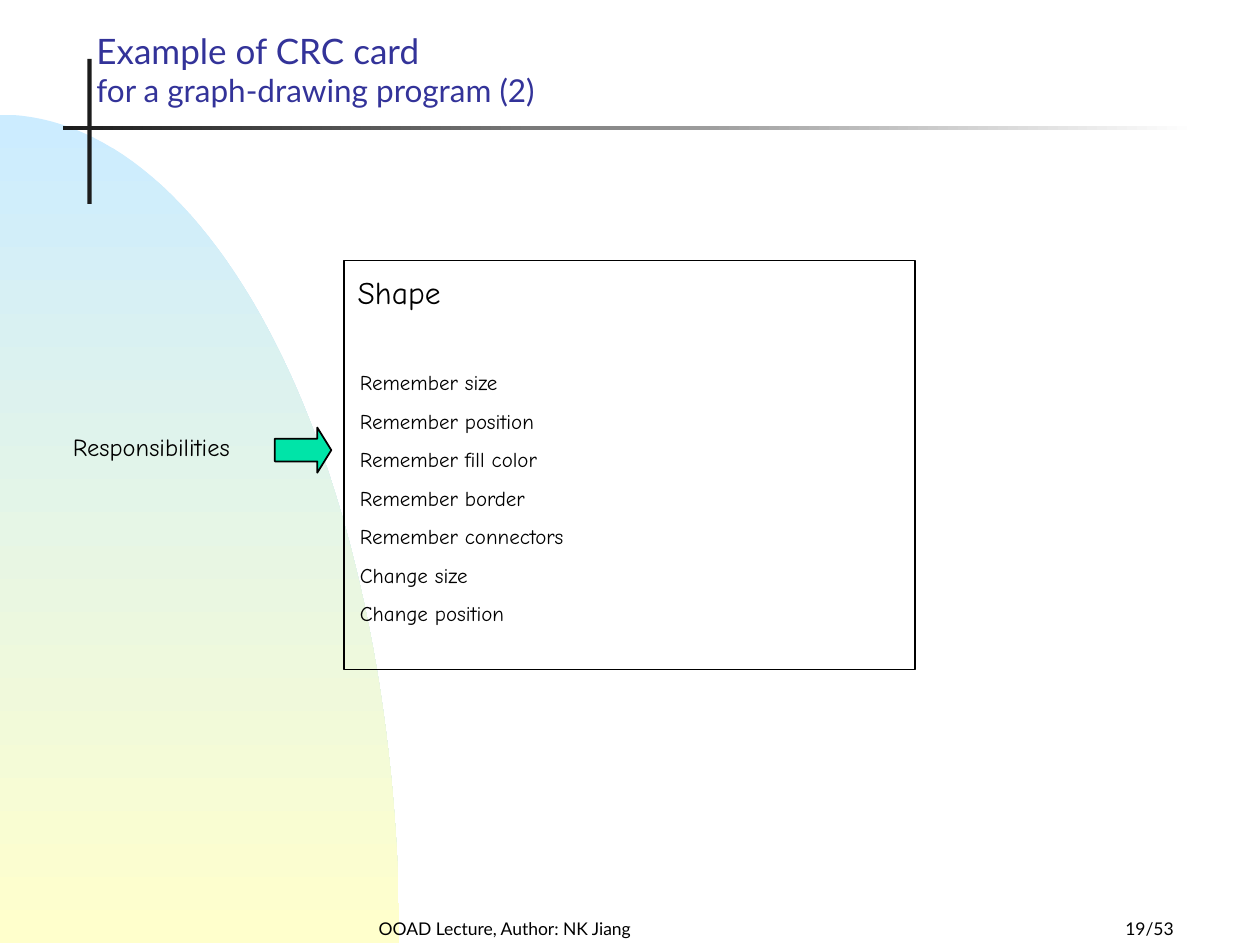
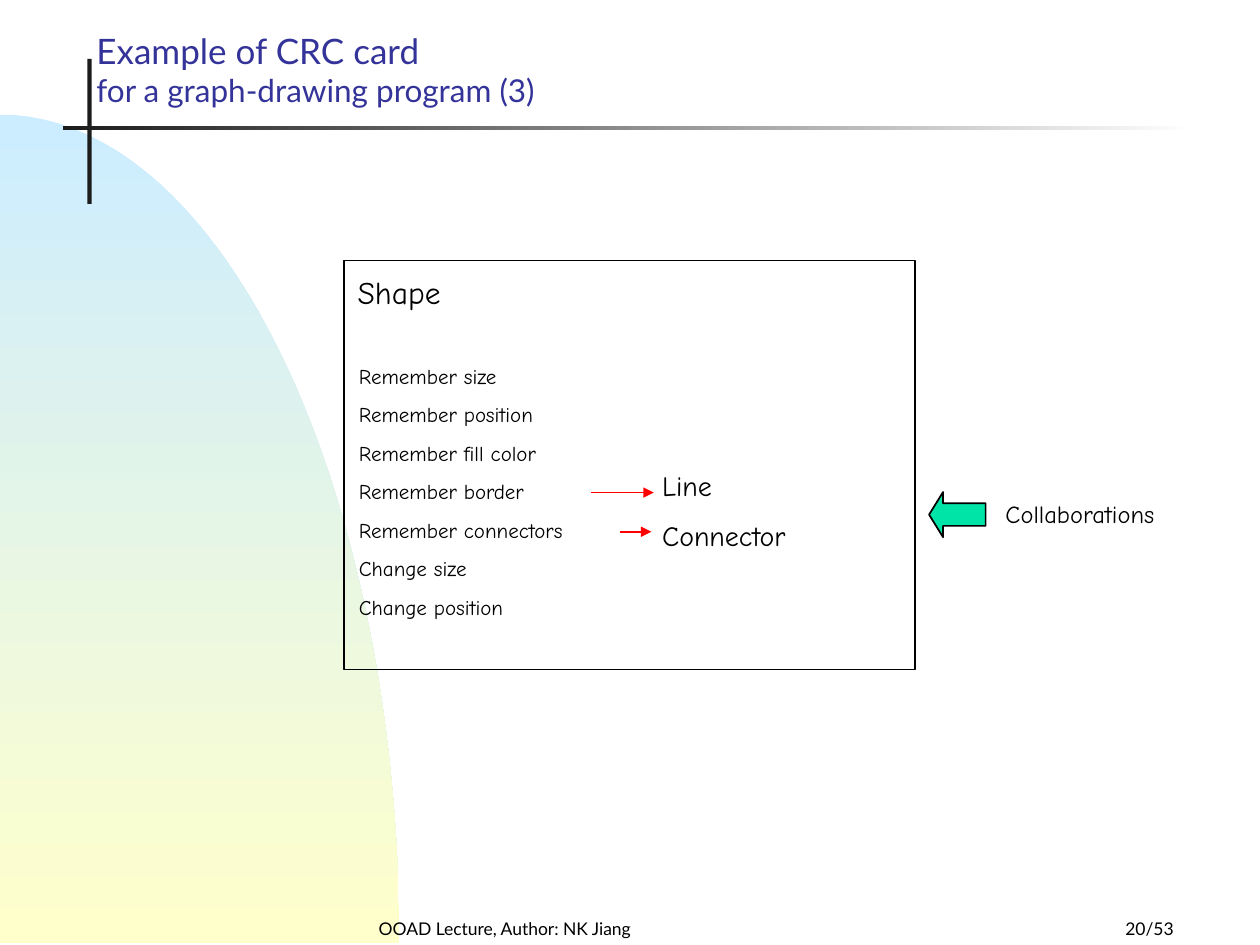
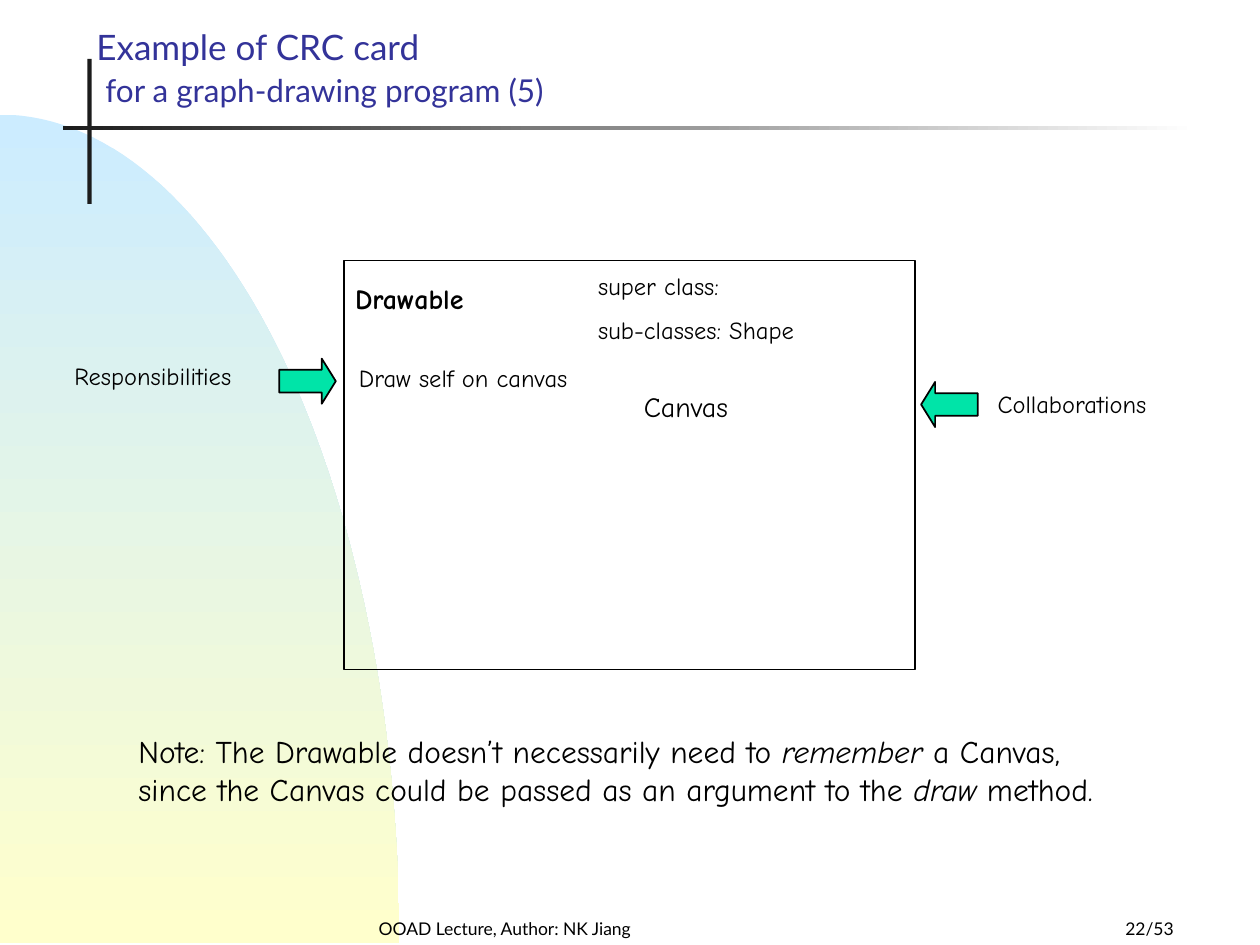
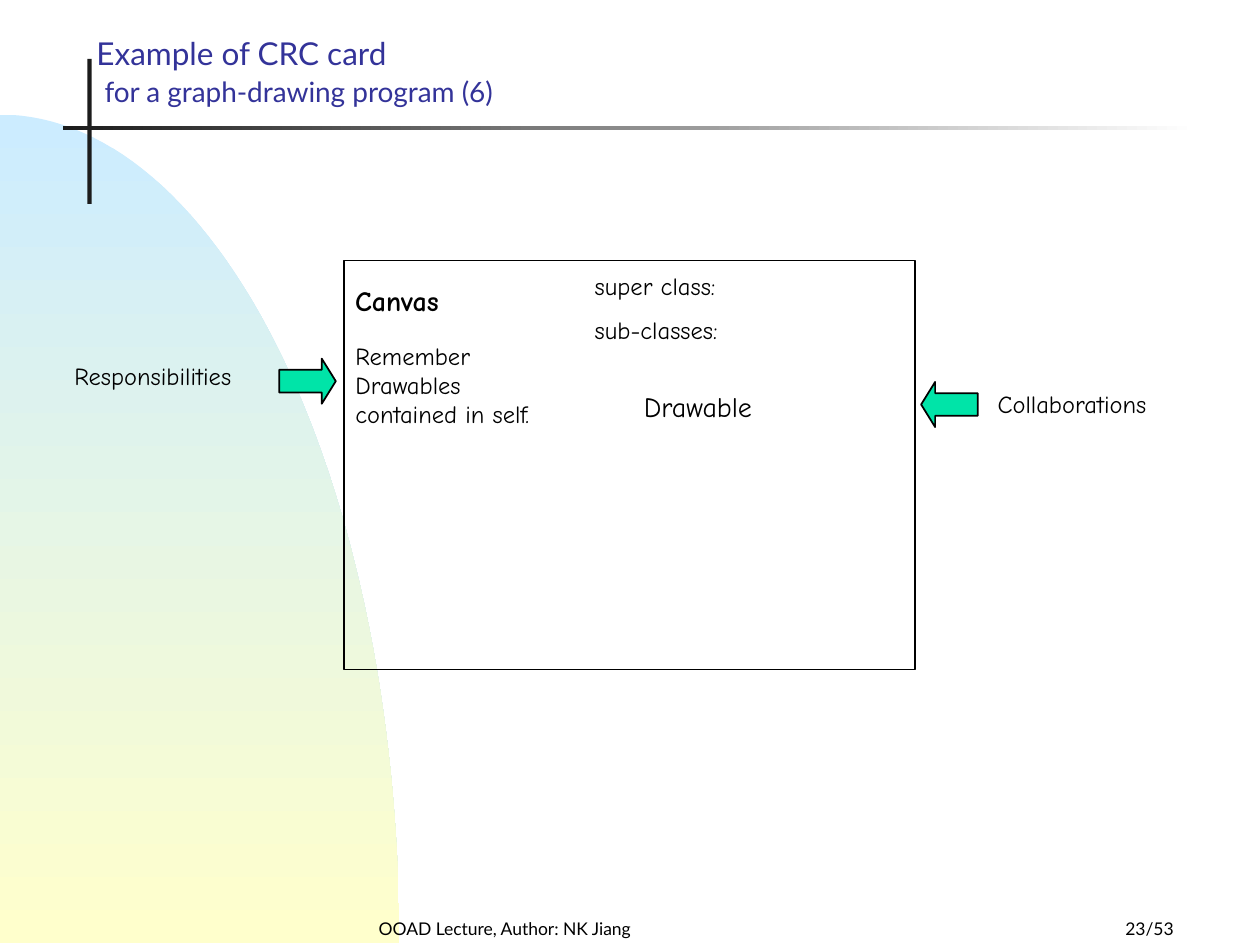
from dataclasses import dataclass
from math import cos, pi, sin

from lxml.etree import SubElement
from pptx import Presentation
from pptx.dml.color import RGBColor
from pptx.enum.shapes import MSO_CONNECTOR, MSO_SHAPE
from pptx.enum.text import MSO_ANCHOR, MSO_AUTO_SIZE, PP_ALIGN
from pptx.oxml.ns import qn
from pptx.util import Cm, Pt


@dataclass(frozen=True)
class Theme:
    ink: RGBColor = RGBColor.from_string("000000")
    title: RGBColor = RGBColor.from_string("333399")
    bar: RGBColor = RGBColor.from_string("1C1C1C")
    paper: RGBColor = RGBColor.from_string("FFFFFF")
    sky: RGBColor = RGBColor.from_string("CCECFF")
    sand: RGBColor = RGBColor.from_string("FFFFCC")
    mint: RGBColor = RGBColor.from_string("00E4A8")
    red: RGBColor = RGBColor.from_string("FF0000")
    head: str = "Lato"
    hand: str = "Comic Neue"
    foot: int = 10
    small: int = 12
    label: int = 14
    item: int = 16
    large: int = 18
    top: int = 20
    line: int = 1
    lead: float = 0.63


THEME = Theme()
DUTIES = [
    "Remember size",
    "Remember position",
    "Remember fill color",
    "Remember border",
    "Remember connectors",
    "Change size",
    "Change position",
]
NOTE = [
    "Note: The Drawable doesn’t necessarily need to *remember* a Canvas,",
    "since the Canvas could be passed as an argument to the *draw* method.",
]


def place(shape, left, top, width, height):
    shape.left, shape.top = Cm(left), Cm(top)
    shape.width, shape.height = Cm(width), Cm(height)


def style(font, size, face=THEME.hand, color=THEME.ink, bold=False):
    font.size, font.name, font.bold = Pt(size), face, bold
    font.color.rgb = color


def fade(shape, first, last, angle):
    shape.fill.gradient()
    shape.fill.gradient_angle = angle
    for stop, color in zip(shape.fill.gradient_stops, (first, last)):
        stop.color.rgb = color


def solid(shape, color):
    shape.fill.solid()
    shape.fill.fore_color.rgb = color


def outline(shape):
    shape.line.color.rgb = THEME.ink
    shape.line.width = Pt(THEME.line)


def block(slide, kind, *box):
    shape = slide.shapes.add_shape(kind, *map(Cm, box))
    shape.shadow.inherit = False
    return shape


def dome(slide, wide=8.05, top=2.31, base=19.02, steps=60):
    turns = [pi / 2 * (1 - i / steps) for i in range(steps + 1)]
    arc = [(Cm(wide * cos(t)), Cm(base - (base - top) * sin(t))) for t in turns]
    pen = slide.shapes.build_freeform(*arc[0])
    pen.add_line_segments(arc[1:] + [(0, Cm(base))], close=True)
    shape = pen.convert_to_shape()
    shape.shadow.inherit = False
    shape.line.fill.background()
    fade(shape, THEME.sky, THEME.sand, 270)
    return shape


def bars(slide):
    post = block(slide, MSO_SHAPE.RECTANGLE, 1.76, 1.19, 0.09, 2.92)
    solid(post, THEME.bar)
    rule = block(slide, MSO_SHAPE.RECTANGLE, 1.27, 2.54, 22.86, 0.08)
    fade(rule, THEME.bar, THEME.paper, 0)
    for bar in (post, rule):
        bar.line.fill.background()
    return [post, rule]


def set_layout(slide):
    layout = slide.slide_layout
    for spot, shape in enumerate([dome(slide)] + bars(slide), 2):
        layout.shapes.element.insert(spot, shape.element)
    title = layout.placeholders[0]
    place(title, 1.69, 0.42, 17.98, 1.91)
    title.text_frame.vertical_anchor = MSO_ANCHOR.BOTTOM
    for holder in (title, layout.placeholders[1]):
        holder.text_frame.auto_size = MSO_AUTO_SIZE.NONE


def write(frame, lines, size, gap=0, bold=False):
    for i, line in enumerate(lines):
        para = frame.add_paragraph() if i else frame.paragraphs[0]
        para.alignment = PP_ALIGN.LEFT
        para.space_before = Pt(size * gap)
        style(para.font, size, bold=bold)
        for j, part in enumerate(line.split("*")):
            run = para.add_run()
            run.text = part
            if j % 2:
                run.font.italic = True


def label(slide, lines, box, size=THEME.label, **look):
    frame = slide.shapes.add_textbox(*map(Cm, box)).text_frame
    frame.word_wrap = True
    write(frame, lines, size, **look)


def duties(slide, lines, box, size=THEME.label):
    body = slide.placeholders[1]
    place(body, *box)
    write(body.text_frame, lines, size, gap=THEME.lead)
    for para in body.text_frame.paragraphs:
        props = para._p.get_or_add_pPr()
        props.set("marL", "0")
        props.set("indent", "0")
        none = SubElement(props, qn("a:buNone"))
        props.find(qn("a:defRPr")).addprevious(none)


def title(slide, part, size=THEME.top, gap=""):
    para = slide.shapes.title.text_frame.paragraphs[0]
    para.alignment = PP_ALIGN.LEFT
    style(para.font, size, THEME.head, THEME.title)
    para.add_run().text = "Example of CRC card"
    para.add_line_break()
    if gap:
        para.add_run().text = gap
    tail = para.add_run()
    tail.text = f"for a graph-drawing program ({part})"
    tail.font.size = Pt(size - 2)


def footer(slide, page):
    for text, left, width, side in (
        ("OOAD Lecture, Author: NK Jiang", 6.15, 8.05, PP_ALIGN.CENTER),
        (f"{page}/53", 18.63, 5.28, PP_ALIGN.RIGHT),
    ):
        box = slide.shapes.add_textbox(Cm(left), Cm(18.21), Cm(width), Cm(0.84))
        frame = box.text_frame
        frame.word_wrap = True
        frame.vertical_anchor = MSO_ANCHOR.BOTTOM
        para = frame.paragraphs[0]
        para.text, para.alignment = text, side
        style(para.font, THEME.foot, THEME.head)


def card(slide, name, box, size=THEME.item, bold=True):
    frame = block(slide, MSO_SHAPE.RECTANGLE, 6.94, 5.25, 11.51, 8.25)
    frame.fill.background()
    outline(frame)
    label(slide, [name], box, size, bold=bold)


def arrow(slide, kind, left, top):
    shape = block(slide, kind, left, top, 1.14, 0.91)
    shape.adjustments[0], shape.adjustments[1] = 0.5, 0.31
    solid(shape, THEME.mint)
    outline(shape)


def tasks(slide, left, top, tip, rise):
    label(slide, ["Responsibilities"], (left, top, 4, 0.86))
    arrow(slide, MSO_SHAPE.RIGHT_ARROW, tip, rise)


def peers(slide, left, top, tip, rise):
    label(slide, ["Collaborations"], (left, top, 4, 0.86))
    arrow(slide, MSO_SHAPE.LEFT_ARROW, tip, rise)


def link(slide, start, end, top):
    ends = map(Cm, (start, top, end, top))
    wire = slide.shapes.add_connector(MSO_CONNECTOR.STRAIGHT, *ends)
    wire.line.color.rgb = THEME.red
    wire.line.width = Pt(THEME.line)
    props = wire.element.spPr
    SubElement(props.find(qn("a:ln")), qn("a:tailEnd"), type="triangle")
    SubElement(props, qn("a:effectLst"))


def shape_card(slide, part, page, box):
    title(slide, part)
    footer(slide, page)
    card(slide, "Shape", (6.96, 5.38, 3, 1.02), THEME.large, bold=False)
    duties(slide, DUTIES, box, THEME.small)


def class_card(slide, part, page, size, name, spot, duty, box, kin, edge, peer):
    title(slide, part, size, gap=" ")
    footer(slide, page)
    card(slide, name, spot)
    duties(slide, [duty], box)
    label(slide, kin, edge, gap=THEME.lead)
    label(slide, [peer], (12.73, 7.72, 5.08, 0.94), THEME.item)
    tasks(slide, 1.25, 7.15, 5.63, 7.23)
    peers(slide, 19.86, 7.72, 18.57, 7.7)


def main():
    deck = Presentation()
    deck.slide_width, deck.slide_height = Cm(25.4), Cm(19.05)
    slides = [deck.slides.add_slide(deck.slide_layouts[1]) for _ in range(4)]
    set_layout(slides[0])

    shape_card(slides[0], 2, 19, (7, 7.33, 5.69, 5.41))
    tasks(slides[0], 1.22, 8.59, 5.54, 8.62)

    shape_card(slides[1], 3, 20, (6.98, 7.2, 5.69, 5.41))
    label(slides[1], ["Line"], (13.1, 9.33, 5.08, 0.94), THEME.item)
    label(slides[1], ["Connector"], (13.1, 10.32, 5.08, 0.94), THEME.item)
    link(slides[1], 11.91, 13.18, 9.93)
    link(slides[1], 12.5, 13.13, 10.72)
    peers(slides[1], 20.02, 9.93, 18.73, 9.92)

    class_card(
        slides[2], 5, 22, THEME.top,
        "Drawable", (6.91, 5.55, 4, 0.94),
        "Draw self on canvas", (6.98, 7.19, 4.83, 0.86),
        ["super class:", "sub-classes: Shape"], (11.81, 5.33, 6, 1.75),
        "Canvas",
    )
    label(slides[2], NOTE, (2.54, 14.64, 21, 1.78), THEME.large)

    class_card(
        slides[3], 6, 23, THEME.large,
        "Canvas", (6.91, 5.6, 4, 0.94),
        "Remember Drawables contained in self.", (6.91, 6.74, 4.83, 2.03),
        ["super class:", "sub-classes:"], (11.74, 5.33, 6, 1.75),
        "Drawable",
    )
    deck.save("out.pptx")


if __name__ == "__main__":
    main()
